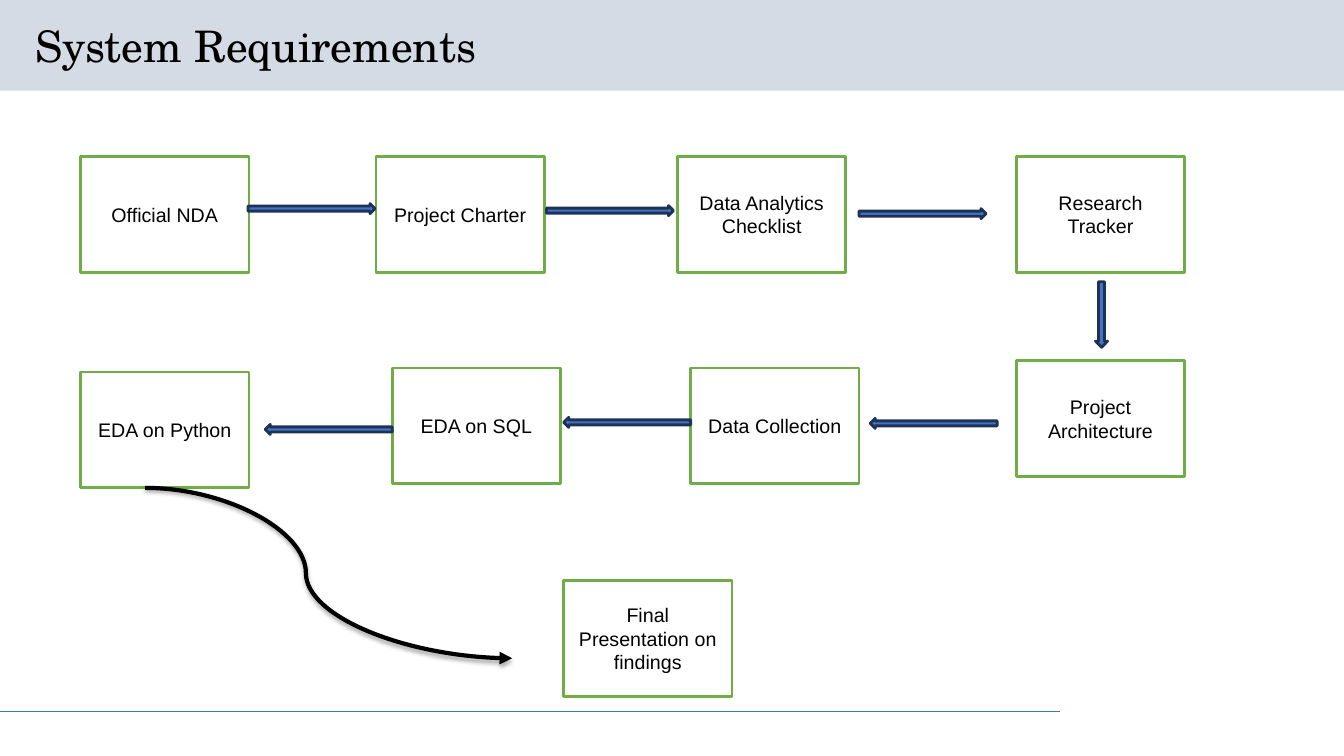
from pptx import Presentation
from pptx.dml.color import RGBColor
from pptx.enum.shapes import MSO_CONNECTOR as Connector, MSO_SHAPE as Shape
from pptx.enum.text import MSO_ANCHOR as Anchor, PP_ALIGN as Align
from pptx.oxml import parse_xml
from pptx.oxml.ns import nsdecls, qn
from pptx.util import Pt

PX = 9144  # 100 px to the inch
SLIDE_SIZE = (1333, 750)

BLACK = RGBColor(0x00, 0x00, 0x00)
WHITE = RGBColor(0xFF, 0xFF, 0xFF)
BAND = RGBColor(0xD5, 0xDB, 0xE5)
BLUE = RGBColor(0x44, 0x72, 0xC4)
NAVY = RGBColor(0x1E, 0x32, 0x56)
GREEN = RGBColor(0x70, 0xAD, 0x47)

TITLE = "System Requirements"
STEP_SIZE = (167, 115)
STEPS = [  # text, left, top
    ("Official NDA", 80, 155),
    ("Project Charter", 373, 155),
    ("Data Analytics Checklist", 672, 155),
    ("Research Tracker", 1008, 155),
    ("Project Architecture", 1008, 358),
    ("Data Collection", 685, 365),
    ("EDA on SQL", 389, 365),
    ("EDA on Python", 80, 369),
    ("Final Presentation on findings", 559, 576),
]
LONG, SHORT = (126, 10), (65, 12)
ARROWS = [  # left, top, size, rotation
    (246, 202, LONG, 0),
    (542, 204, LONG, 0),
    (852, 207, LONG, 0),
    (1060, 306, SHORT, 90),
    (863, 415, LONG, 180),
    (559, 414, LONG, 180),
    (263, 421, LONG, 180),
]
FOOTER_LINE = (0, 706, 1051, 706)
FINAL_CURVE = (144, 484, 508, 653)
CURVE_BEND = 43800  # share of the width, in thousandths of a percent
CURVE_SHADOW = (
    '<a:outerShdw blurRad="40000" dist="23000" dir="5400000" rotWithShape="0">'
    '<a:srgbClr val="000000"><a:alpha val="35000"/></a:srgbClr></a:outerShdw>'
)


def to_emu(*lengths):
    return [length * PX for length in lengths]


def add_block(slide, kind, left, top, size, fill, line=None):
    """Add a filled preset shape, outlined if a line colour is given."""
    shape = slide.shapes.add_shape(kind, *to_emu(left, top, *size))
    shape.shadow.inherit = False
    shape.fill.solid()
    shape.fill.fore_color.rgb = fill
    if line is None:
        shape.line.fill.background()
    else:
        shape.line.color.rgb = line
        shape.line.width = Pt(2)
    return shape


def write_text(shape, text, font="Arial", size=14, align=Align.CENTER, spacing=None):
    frame = shape.text_frame
    frame.word_wrap = True
    frame.vertical_anchor = Anchor.MIDDLE
    paragraph = frame.paragraphs[0]
    paragraph.alignment = align
    paragraph.line_spacing = spacing
    run = paragraph.add_run()
    run.text = text
    run.font.name = font
    run.font.size = Pt(size)
    run.font.color.rgb = BLACK


def add_line(slide, kind, ends, color, width, effect=""):
    connector = slide.shapes.add_connector(kind, *to_emu(*ends))
    connector.line.color.rgb = color
    connector.line.width = Pt(width)
    effects = f'<a:effectLst {nsdecls("a")}>{effect}</a:effectLst>'
    connector._element.spPr.append(parse_xml(effects))
    return connector


def add_final_curve(slide):
    curve = add_line(slide, Connector.CURVE, FINAL_CURVE, BLACK, 3, CURVE_SHADOW)
    properties = curve._element.spPr
    head = f'<a:tailEnd {nsdecls("a")} type="triangle"/>'
    properties.find(qn("a:ln")).append(parse_xml(head))
    bend = f'<a:gd {nsdecls("a")} name="adj1" fmla="val {CURVE_BEND}"/>'
    geometry = properties.find(qn("a:prstGeom"))
    geometry.find(qn("a:avLst")).append(parse_xml(bend))


def main():
    presentation = Presentation()
    presentation.slide_width, presentation.slide_height = to_emu(*SLIDE_SIZE)
    slide = presentation.slides.add_slide(presentation.slide_layouts[6])

    add_block(slide, Shape.RECTANGLE, 0, 0, (SLIDE_SIZE[0], 90), BAND)
    add_line(slide, Connector.STRAIGHT, FOOTER_LINE, BLUE, 0.75)
    title = slide.shapes.add_textbox(*to_emu(25, 20, 1150, 57))
    write_text(title, TITLE, font="TeX Gyre Schola", size=31,
               align=Align.LEFT, spacing=0.9)

    for text, left, top in STEPS:
        step = add_block(slide, Shape.RECTANGLE, left, top, STEP_SIZE, WHITE, GREEN)
        write_text(step, text)
    for left, top, size, rotation in ARROWS:
        arrow = add_block(slide, Shape.RIGHT_ARROW, left, top, size, BLUE, NAVY)
        arrow.rotation = rotation
    add_final_curve(slide)

    presentation.save("out.pptx")


if __name__ == "__main__":
    main()
